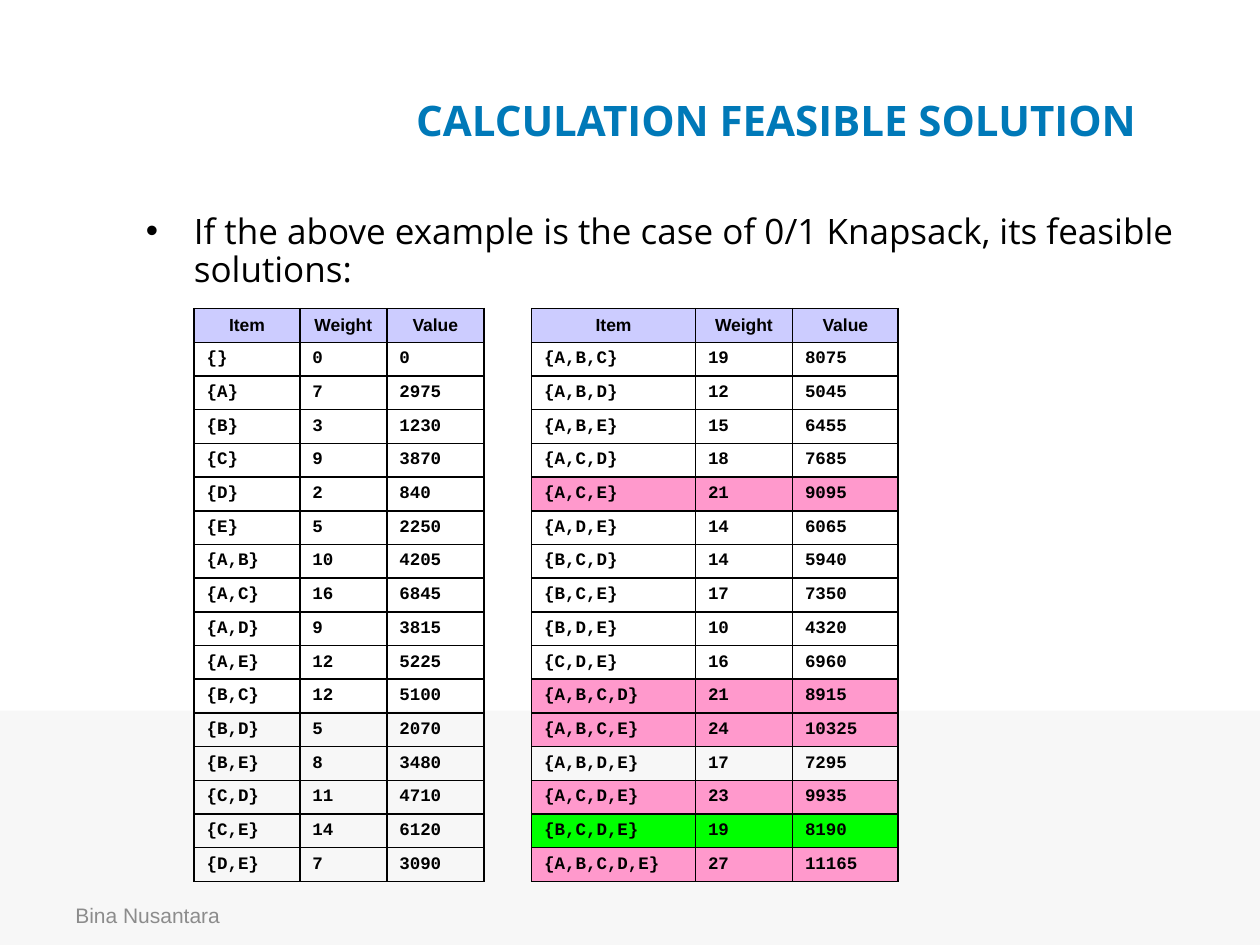
import pptx
import pptx.dml.color
import pptx.enum.shapes
import pptx.enum.text
import pptx.oxml
import pptx.oxml.ns
import pptx.util

Inches = pptx.util.Inches
Pt = pptx.util.Pt
RGBColor = pptx.dml.color.RGBColor
Align = pptx.enum.text.PP_ALIGN
Anchor = pptx.enum.text.MSO_ANCHOR

BLACK = RGBColor(0x00, 0x00, 0x00)
BLUE = RGBColor(0x00, 0x79, 0xB8)
GRAY = RGBColor(0x8C, 0x8C, 0x8C)
PALE_GRAY = RGBColor(0xF7, 0xF7, 0xF7)
LAVENDER = RGBColor(0xCC, 0xCC, 0xFF)
PINK = RGBColor(0xFF, 0x99, 0xCC)
GREEN = RGBColor(0x00, 0xFF, 0x00)

CAPACITY = 20
HEADERS = ("Item", "Weight", "Value")
SMALL_SETS = [
    ("", 0, 0), ("A", 7, 2975), ("B", 3, 1230), ("C", 9, 3870),
    ("D", 2, 840), ("E", 5, 2250), ("A,B", 10, 4205), ("A,C", 16, 6845),
    ("A,D", 9, 3815), ("A,E", 12, 5225), ("B,C", 12, 5100), ("B,D", 5, 2070),
    ("B,E", 8, 3480), ("C,D", 11, 4710), ("C,E", 14, 6120), ("D,E", 7, 3090),
]
LARGE_SETS = [
    ("A,B,C", 19, 8075), ("A,B,D", 12, 5045), ("A,B,E", 15, 6455),
    ("A,C,D", 18, 7685), ("A,C,E", 21, 9095), ("A,D,E", 14, 6065),
    ("B,C,D", 14, 5940), ("B,C,E", 17, 7350), ("B,D,E", 10, 4320),
    ("C,D,E", 16, 6960), ("A,B,C,D", 21, 8915), ("A,B,C,E", 24, 10325),
    ("A,B,D,E", 17, 7295), ("A,C,D,E", 23, 9935), ("B,C,D,E", 19, 8190),
    ("A,B,C,D,E", 27, 11165),
]
COLUMN_WIDTHS = (0.84, 0.69, 0.77, 0.38, 1.3, 0.77, 0.84)
TABLE_HEIGHT = 4.47
NO_STYLE = "{2D5ABB26-0587-4C30-8999-92F81FD0307C}"


def write(frame, text, size=10, font="Arial", color=BLACK, bold=False,
          align=Align.LEFT, anchor=Anchor.MIDDLE, spacing=None):
    """Put one formatted paragraph in a text frame."""
    frame.word_wrap = True
    frame.vertical_anchor = anchor
    paragraph = frame.paragraphs[0]
    paragraph.alignment = align
    paragraph.line_spacing = spacing
    run = paragraph.add_run()
    run.text = text
    run.font.size = Pt(size)
    run.font.name = font
    run.font.bold = bold
    run.font.color.rgb = color
    return paragraph


class SlideBuilder:
    body_font = "Open Sans"

    def __init__(self, presentation):
        self.slide = presentation.slides.add_slide(presentation.slide_layouts[5])

    def band(self, left, top, width, height, color):
        shape = self.slide.shapes.add_shape(
            pptx.enum.shapes.MSO_SHAPE.RECTANGLE,
            Inches(left), Inches(top), Inches(width), Inches(height))
        shape.shadow.inherit = False
        shape.fill.solid()
        shape.fill.fore_color.rgb = color
        shape.line.fill.background()

    def title(self, text, left, top, width, height):
        title = self.slide.shapes.title
        title.left, title.top = Inches(left), Inches(top)
        title.width, title.height = Inches(width), Inches(height)
        write(title.text_frame, text, size=24, font=self.body_font, color=BLUE,
              bold=True, align=Align.CENTER)

    def text(self, text, left, top, width, height, **style):
        box = self.slide.shapes.add_textbox(
            Inches(left), Inches(top), Inches(width), Inches(height))
        return write(box.text_frame, text, **style)

    def bullet(self, text, left, top, width, height):
        paragraph = self.text(text, left, top, width, height, size=20,
                              font=self.body_font, anchor=Anchor.TOP, spacing=0.9)
        properties = paragraph._p.get_or_add_pPr()
        properties.set("marL", str(Inches(0.38)))
        properties.set("indent", str(-Inches(0.38)))
        namespace = pptx.oxml.ns.nsdecls("a")
        for markup in (f'<a:buFont {namespace} typeface="Arial"/>',
                       f'<a:buChar {namespace} char="•"/>'):
            properties.append(pptx.oxml.parse_xml(markup))

    def table(self, left, top, height, widths, row_count):
        frame = self.slide.shapes.add_table(
            row_count, len(widths), Inches(left), Inches(top),
            Inches(sum(widths)), Inches(height))
        table = frame.table
        table.first_row = table.horz_banding = False
        table._tbl.tblPr.find(pptx.oxml.ns.qn("a:tableStyleId")).text = NO_STYLE
        for column, width in zip(table.columns, widths):
            column.width = Inches(width)
        for row in table.rows:
            row.height = Inches(height / row_count)
        return table

    def borders(self, cell, sides):
        properties = cell._tc.get_or_add_tcPr()
        for position, side in enumerate(sides):
            properties.insert(position, pptx.oxml.parse_xml(
                f'<a:ln{side} {pptx.oxml.ns.nsdecls("a")} w="{Pt(1)}">'
                f'<a:solidFill><a:srgbClr val="{BLACK}"/></a:solidFill></a:ln{side}>'))

    def cell(self, cell, text, fill=None, **style):
        if fill is None:
            cell.fill.background()
        else:
            cell.fill.solid()
            cell.fill.fore_color.rgb = fill
        self.borders(cell, "LRTB")
        write(cell.text_frame, text, bold=True, **style)
        cell.vertical_anchor = Anchor.MIDDLE

    def spacer(self, cell):
        cell.fill.background()
        self.borders(cell, "LR")
        # Keep the empty line no taller than the row
        cell.text_frame.paragraphs[0]._p.append(pptx.oxml.parse_xml(
            f'<a:endParaRPr {pptx.oxml.ns.nsdecls("a")} sz="1000"/>'))


def fill_solutions(builder, table, first_column, solutions, best_value):
    """Write one three-column half: headers, then one row per item set."""
    for offset, header in enumerate(HEADERS):
        builder.cell(table.cell(0, first_column + offset), header,
                     fill=LAVENDER, align=Align.CENTER)
    for row, (items, weight, value) in enumerate(solutions, start=1):
        fill = PINK if weight > CAPACITY else GREEN if value == best_value else None
        for offset, text in enumerate(("{" + items + "}", str(weight), str(value))):
            builder.cell(table.cell(row, first_column + offset), text,
                         fill=fill, font="Courier New")


def main():
    presentation = pptx.Presentation()
    presentation.slide_width = Inches(10)
    presentation.slide_height = Inches(7.5)
    builder = SlideBuilder(presentation)

    # Background band and footer
    builder.band(0, 5.64, 10, 1.86, PALE_GRAY)
    builder.text("Bina Nusantara", 0.5, 7.06, 2.33, 0.4, size=12, color=GRAY)

    # Title and introduction
    builder.title("CALCULATION FEASIBLE SOLUTION", 2.32, 0.44, 7.68, 1.02)
    builder.bullet("If the above example is the case of 0/1 Knapsack, "
                   "its feasible solutions:", 1.06, 1.65, 8.91, 0.79)

    # Solutions: two halves with a spacer column between them
    row_count = len(SMALL_SETS) + 1
    table = builder.table(1.54, 2.45, TABLE_HEIGHT, COLUMN_WIDTHS, row_count)
    best_value = max(value for items, weight, value in SMALL_SETS + LARGE_SETS
                     if weight <= CAPACITY)
    fill_solutions(builder, table, 0, SMALL_SETS, best_value)
    for row in range(row_count):
        builder.spacer(table.cell(row, len(HEADERS)))
    fill_solutions(builder, table, len(HEADERS) + 1, LARGE_SETS, best_value)

    presentation.save("out.pptx")


if __name__ == "__main__":
    main()
